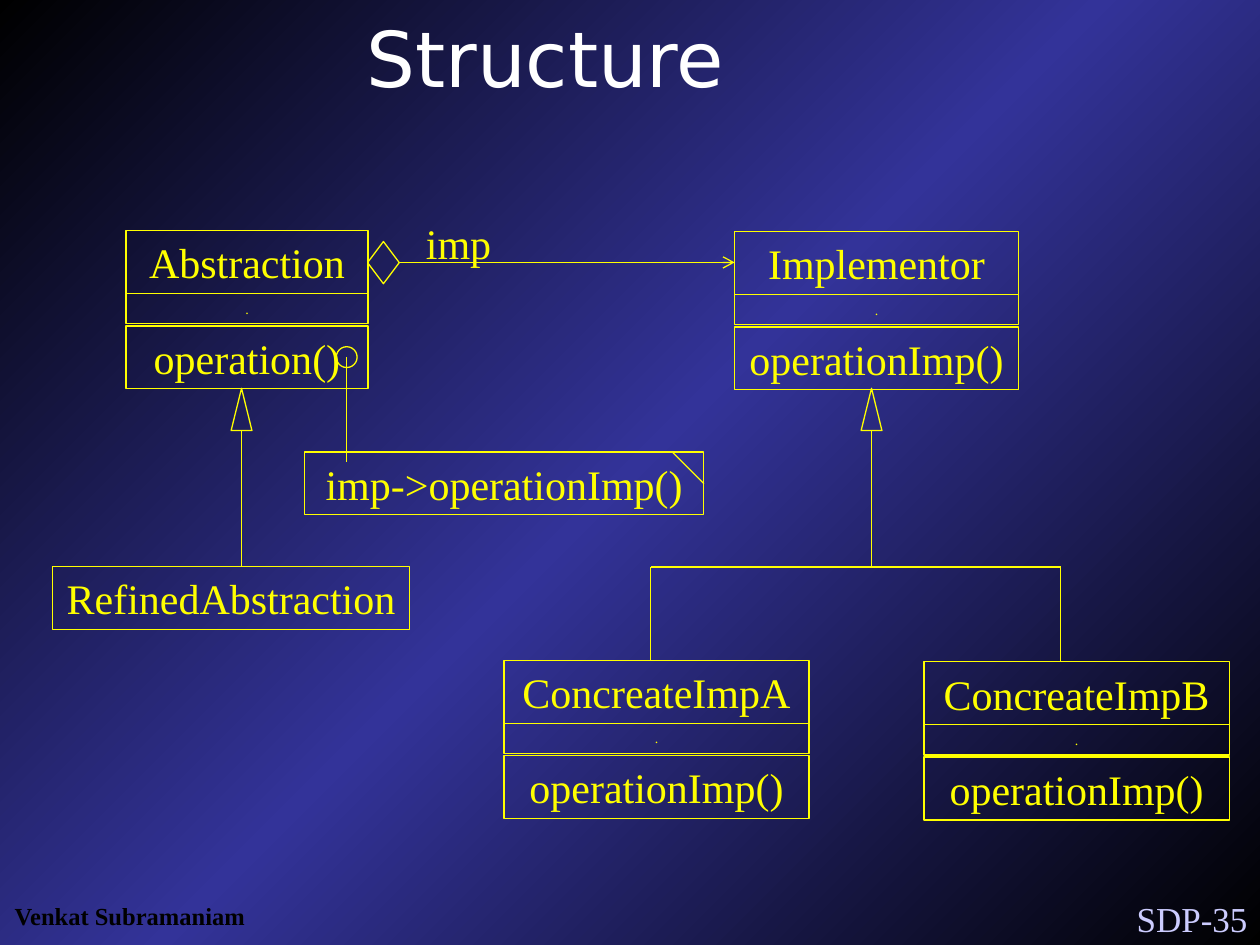
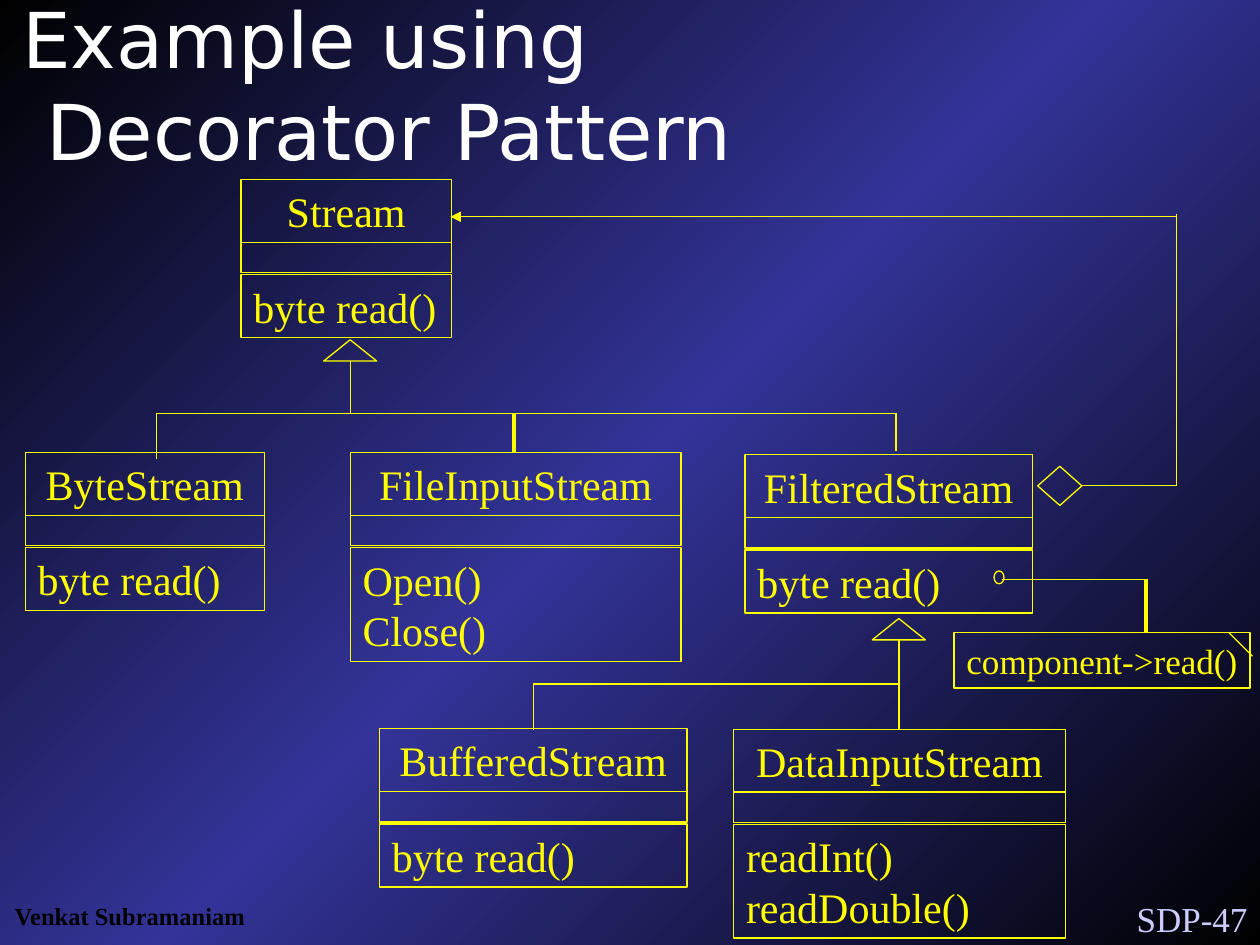
from copy import deepcopy

from lxml.etree import SubElement
from pptx import Presentation
from pptx.dml.color import RGBColor
from pptx.enum.shapes import MSO_CONNECTOR, MSO_SHAPE
from pptx.enum.text import MSO_ANCHOR, PP_ALIGN
from pptx.oxml.ns import qn
from pptx.util import Cm, Pt

COLORS = {
    "edge": "000000",
    "band": "333399",
    "title": "FFFFFF",
    "diagram": "FFFF00",
    "number": "CCCCFF",
    "author": "000000",
}
BODY_FONT = "Times New Roman"
TITLE_FONT = "DejaVu Sans"
ROW_HEIGHT = 1.27
LINE_HEIGHT = 1.02
ATTRIBUTE_HEIGHT = 0.61
OPERATIONS_OFFSET = 1.92


def color(name):
    """Return the named palette colour."""
    return RGBColor.from_string(COLORS[name])


def write_text(shape, text, size=24, alignment=PP_ALIGN.CENTER,
               color_name="diagram", font=BODY_FONT, bold=False):
    """Fill a shape with uniformly formatted text."""
    text_frame = shape.text_frame
    text_frame.text = text
    text_frame.word_wrap = alignment != PP_ALIGN.CENTER
    text_frame.vertical_anchor = MSO_ANCHOR.MIDDLE
    for paragraph in text_frame.paragraphs:
        paragraph.alignment = alignment
        for run in paragraph.runs:
            run.font.size = Pt(size)
            run.font.name = font
            run.font.bold = bold
            run.font.color.rgb = color(color_name)


def add_label(slide, box, text, **style):
    """Add a text box in the given box."""
    write_text(slide.shapes.add_textbox(*map(Cm, box)), text, **style)


def add_outline(slide, kind, box, text="", **style):
    """Add an unfilled preset shape, with text if there is any."""
    shape = slide.shapes.add_shape(kind, *map(Cm, box))
    shape.shadow.inherit = False
    shape.fill.background()
    shape.line.color.rgb = color("diagram")
    shape.line.width = Pt(0.75)
    if text:
        write_text(shape, text, **style)


def add_line(slide, start, end, width=0.75, arrowhead=None):
    """Draw a straight line, optionally with an arrowhead at its end."""
    connector = slide.shapes.add_connector(
        MSO_CONNECTOR.STRAIGHT, *map(Cm, (*start, *end)))
    connector.line.color.rgb = color("diagram")
    connector.line.width = Pt(width)
    properties = connector._element.spPr
    if arrowhead:
        SubElement(properties.find(qn("a:ln")), qn("a:tailEnd"), type=arrowhead)
    SubElement(properties, qn("a:effectLst"))


def draw_class(slide, left, top, width, name, operations,
               attributes="", alignment=PP_ALIGN.LEFT):
    """Draw a class with its name, attributes and operations."""
    operations_height = ROW_HEIGHT + LINE_HEIGHT * (len(operations) - 1)
    add_outline(slide, MSO_SHAPE.RECTANGLE, (left, top, width, ROW_HEIGHT), name)
    add_outline(slide, MSO_SHAPE.RECTANGLE,
                (left, top + ROW_HEIGHT, width, ATTRIBUTE_HEIGHT), attributes, size=8)
    add_outline(slide, MSO_SHAPE.RECTANGLE,
                (left, top + OPERATIONS_OFFSET, width, operations_height),
                "\n".join(operations), alignment=alignment)


def draw_inheritance(slide, apex, arrow_size, bar_y, drops=()):
    """Draw a hollow arrow, its stem, and a bar with drops to the subclasses."""
    x, top = apex
    width, height = arrow_size
    add_outline(slide, MSO_SHAPE.ISOSCELES_TRIANGLE, (x - width / 2, top, width, height))
    add_line(slide, (x, top + height), (x, bar_y))
    if drops:
        drop_xs = [drop[0] for drop in drops]
        add_line(slide, (min(drop_xs), bar_y), (max(drop_xs), bar_y))
    for drop_x, bottom, line_width in drops:
        add_line(slide, (drop_x, bar_y), (drop_x, bottom), line_width)


def draw_note(slide, box, text, size, fold_left, fold_size):
    """Draw a note with a folded corner."""
    top = box[1]
    add_outline(slide, MSO_SHAPE.RECTANGLE, box, text, size=size)
    add_line(slide, (fold_left, top), (fold_left + fold_size, top + fold_size))


def set_background(master):
    """Give the master a diagonal gradient with a bright middle band."""
    fill = master.background.fill
    fill.gradient()
    fill.gradient_angle = 135
    stop_list = master._element.find(".//" + qn("a:gsLst"))
    stop_list.insert(1, deepcopy(stop_list[0]))
    for stop, name, position in zip(
            fill.gradient_stops, ("edge", "band", "edge"), (0, 0.5, 1)):
        stop.color.rgb = color(name)
        stop.position = position


def add_framed_slide(presentation, number, title, title_box, alignment):
    """Add a slide with its footer and title."""
    slide = presentation.slides.add_slide(presentation.slide_layouts[6])
    add_label(slide, (21.8, 17.96, 3.6, 1.12), f"SDP-{number}", size=20,
              alignment=PP_ALIGN.RIGHT, color_name="number")
    add_label(slide, (0.03, 18.03, 5.18, 0.86), "Venkat Subramaniam", size=14,
              color_name="author", bold=True)
    add_label(slide, title_box, title, size=44, alignment=alignment,
              color_name="title", font=TITLE_FONT)
    return slide


def build_structure(presentation):
    """Build the class diagram of the bridge structure."""
    slide = add_framed_slide(presentation, 35, "Structure",
                             (0.2, 0.2, 21.6, 1.9), PP_ALIGN.CENTER)
    for left, top, width, name, operation in (
            (2.54, 4.65, 4.88, "Abstraction", "operation()"),
            (14.81, 4.67, 5.72, "Implementor", "operationImp()"),
            (10.16, 13.31, 6.15, "ConcreateImpA", "operationImp()"),
            (18.63, 13.34, 6.15, "ConcreateImpB", "operationImp()")):
        draw_class(slide, left, top, width, name, [operation], ".", PP_ALIGN.CENTER)
    add_outline(slide, MSO_SHAPE.RECTANGLE, (1.06, 11.42, 7.2, ROW_HEIGHT),
                "RefinedAbstraction")

    arrow_size = (0.42, 0.85)
    draw_inheritance(slide, (4.87, 7.83), arrow_size, 11.42)
    draw_inheritance(slide, (17.57, 7.83), arrow_size, 11.43,
                     [(13.12, 13.33, 0.75), (21.38, 13.33, 0.75)])

    add_outline(slide, MSO_SHAPE.DIAMOND, (7.41, 4.87, 0.64, 0.85))
    add_line(slide, (8.05, 5.29), (14.81, 5.29), arrowhead="arrow")
    add_label(slide, (8.33, 4.25, 1.83, ROW_HEIGHT), "imp")

    draw_note(slide, (6.14, 9.11, 8.05, ROW_HEIGHT), "imp->operationImp()",
              24, 13.55, 0.64)
    add_line(slide, (6.99, 7.2), (6.99, 9.31))
    add_outline(slide, MSO_SHAPE.OVAL, (6.78, 6.99, 0.42, 0.42))


def build_decorator(presentation):
    """Build the class diagram of the decorated streams."""
    slide = add_framed_slide(presentation, 47, "Example using\v Decorator Pattern",
                             (0.2, 0.84, 21.6, 1.7), PP_ALIGN.LEFT)
    for left, top, width, name, operations in (
            (4.86, 3.62, 4.24, "Stream", ["byte read()"]),
            (0.51, 9.12, 4.82, "ByteStream", ["byte read()"]),
            (7.06, 9.12, 6.67, "FileInputStream", ["Open()", "Close()"]),
            (15.02, 9.17, 5.79, "FilteredStream", ["byte read()"]),
            (7.65, 14.69, 6.2, "BufferedStream", ["byte read()"]),
            (14.79, 14.7, 6.69, "DataInputStream", ["readInt()", "readDouble()"])):
        draw_class(slide, left, top, width, name, operations)

    arrow_size = (1.07, 0.43)
    draw_inheritance(slide, (7.06, 6.85), arrow_size, 8.33,
                     [(3.15, 9.25, 0.75), (10.37, 9.12, 2.25), (18.06, 9.09, 0.75)])
    draw_inheritance(slide, (18.12, 12.47), arrow_size, 13.79,
                     [(10.75, 14.71, 0.75), (18.12, 14.71, 0.75)])

    draw_note(slide, (19.23, 12.75, 5.97, 1.12), "component->read()", 20, 24.77, 0.48)
    add_outline(slide, MSO_SHAPE.OVAL, (20.04, 11.51, 0.2, 0.26))
    add_line(slide, (20.2, 11.68), (23.11, 11.68))
    add_line(slide, (23.11, 11.68), (23.11, 12.75), 2.25)

    add_outline(slide, MSO_SHAPE.DIAMOND, (20.92, 9.4, 0.89, 0.79))
    add_line(slide, (21.8, 9.78), (23.72, 9.78))
    add_line(slide, (23.72, 9.78), (23.72, 4.32))
    add_line(slide, (23.72, 4.37), (9.08, 4.37), arrowhead="triangle")


def main():
    """Build and save the presentation."""
    presentation = Presentation()
    presentation.slide_width = Cm(25.4)
    presentation.slide_height = Cm(19.05)
    set_background(presentation.slide_master)
    build_structure(presentation)
    build_decorator(presentation)
    presentation.save("out.pptx")


if __name__ == "__main__":
    main()
